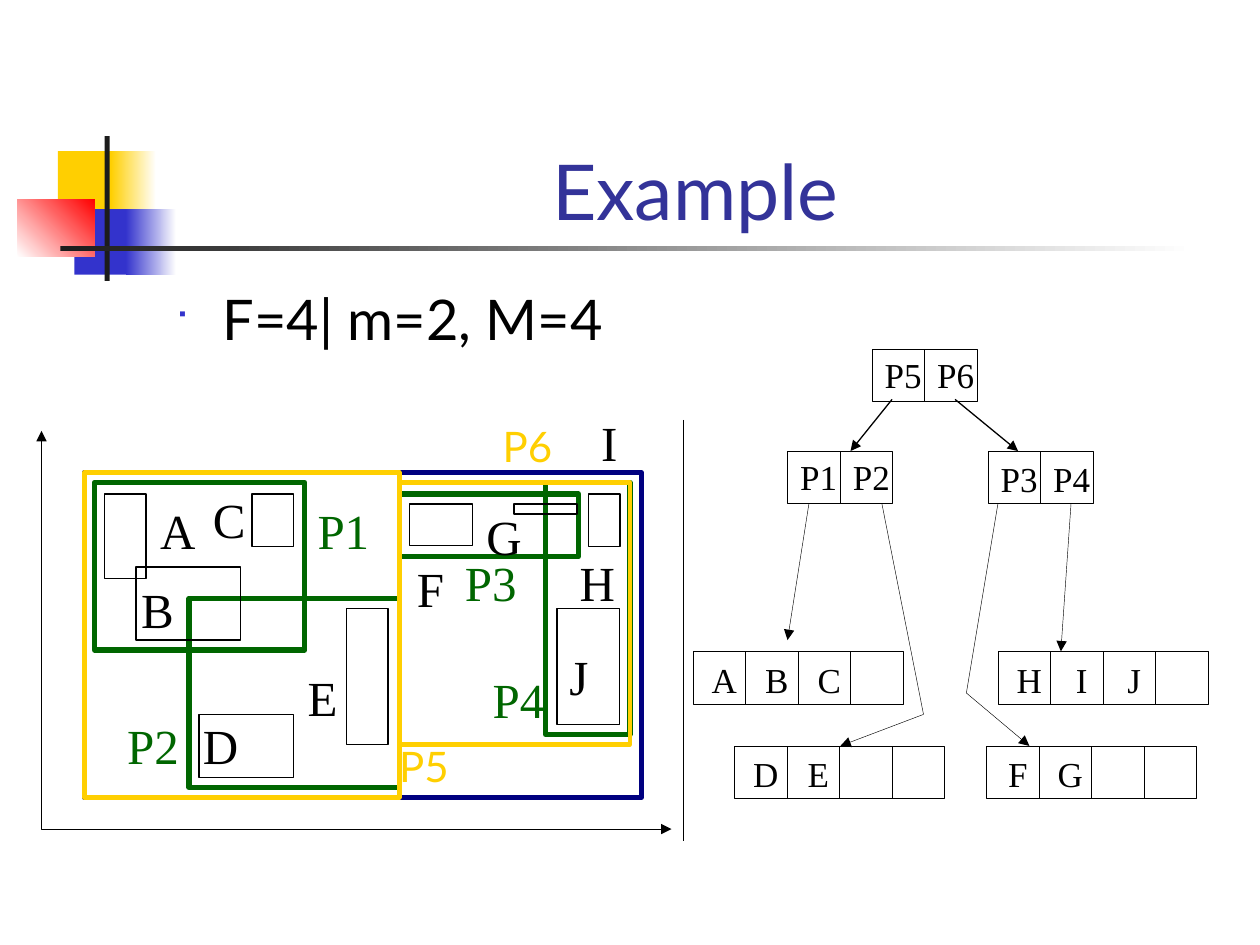
"""Build a slide showing an R-tree example: nested rectangles beside their tree."""
import lxml.etree
import pptx
import pptx.dml.color
import pptx.enum.dml
import pptx.enum.shapes
import pptx.enum.text
import pptx.oxml.ns
import pptx.util

Inches = pptx.util.Inches
Pt = pptx.util.Pt
rgb = pptx.dml.color.RGBColor.from_string
qn = pptx.oxml.ns.qn
ALIGN = pptx.enum.text.PP_ALIGN
ANCHOR = pptx.enum.text.MSO_ANCHOR
FIT = pptx.enum.text.MSO_AUTO_SIZE
RECTANGLE = pptx.enum.shapes.MSO_SHAPE.RECTANGLE
STRAIGHT = pptx.enum.shapes.MSO_CONNECTOR.STRAIGHT
SERIF, SANS = "Times New Roman", "Lato"
BLACK, GREEN, NAVY, GOLD = "000000", "006600", "000080", "FFCF01"
BLUE, GRAY, WHITE, RED = "3333CC", "1C1C1C", "FFFFFF", "FF0000"

deck = pptx.Presentation()
deck.slide_width, deck.slide_height = Inches(10), Inches(7.5)
page = deck.slides.add_slide(deck.slide_layouts[6])


def add_box(place, color=None, weight=0):
    box = page.shapes.add_shape(RECTANGLE, *map(Inches, place))
    box.shadow.inherit = False
    if color:
        box.fill.background()
        box.line.color.rgb = rgb(color)
        box.line.width = Pt(weight)
    else:
        box.line.fill.background()
    return box


def add_text(words, place, size, color, font=SERIF, align=ALIGN.CENTER,
             anchor=ANCHOR.MIDDLE, wrap=False):
    frame = page.shapes.add_textbox(*map(Inches, place)).text_frame
    fit = FIT.NONE if wrap else FIT.SHAPE_TO_FIT_TEXT
    frame_format = {"word_wrap": wrap, "auto_size": fit, "vertical_anchor": anchor}
    for name, value in frame_format.items():
        setattr(frame, name, value)
    para = frame.paragraphs[0]
    para.alignment = align
    span = para.add_run()
    span.text = words
    for name, value in {"size": Pt(size), "name": font}.items():
        setattr(span.font, name, value)
    span.font.color.rgb = rgb(color)
    return para


decorations = [
    ((0.46, 1.2, 0.48, 0.52), GOLD, None, 0),
    ((0.88, 1.2, 0.36, 0.52), GOLD, WHITE, 0),
    ((0.59, 1.66, 0.46, 0.52), BLUE, None, 0),
    ((1, 1.66, 0.4, 0.52), BLUE, WHITE, 0),
    ((0.14, 1.58, 0.61, 0.46), WHITE, RED, 45),
    ((0.83, 1.08, 0.04, 1.15), GRAY, None, 0),
    ((0.48, 1.95, 9, 0.04), GRAY, WHITE, 0),
]
for place, start, end, angle in decorations:
    fill = add_box(place).fill
    if end:
        fill.gradient()
        fill.gradient_angle = angle
        for stop, color in zip(fill.gradient_stops, (start, end)):
            stop.color.rgb = rgb(color)
    else:
        fill.solid()
        fill.fore_color.rgb = rgb(start)

add_text("Example", (1.26, 0.67, 8.52, 1.25), 44, "333399", SANS,
         anchor=ANCHOR.BOTTOM, wrap=True)
bullet = add_text("F=4| m=2, M=4", (1.29, 2.21, 8.5, 4.5), 32, BLACK, SANS,
                  ALIGN.LEFT, ANCHOR.TOP, True)
bullet.space_before = Pt(8)
bullet_format = bullet._p.get_or_add_pPr()
bullet_format.set("marL", str(Inches(0.38)))
bullet_format.set("indent", str(-Inches(0.38)))
bullet_color = lxml.etree.SubElement(bullet_format, qn("a:buClr"))
lxml.etree.SubElement(bullet_color, qn("a:srgbClr"), val=BLUE)
lxml.etree.SubElement(bullet_format, qn("a:buSzPct"), val="60000")
lxml.etree.SubElement(bullet_format, qn("a:buFont"), typeface="Wingdings", charset="2")
lxml.etree.SubElement(bullet_format, qn("a:buChar"), char="■")

regions = [
    (GREEN, 3, [(0.75, 3.83, 1.67, 1.33), (4.33, 3.83, 0.67, 2),
                (1.5, 4.75, 1.67, 1.5), (3.17, 3.92, 1.42, 0.5)]),
    (BLACK, 0.75, [(0.83, 3.92, 0.33, 0.67), (2, 3.92, 0.33, 0.42),
                   (1.08, 4.5, 0.83, 0.58), (1.58, 5.67, 0.75, 0.5),
                   (2.75, 4.83, 0.33, 1.08), (3.25, 4, 0.5, 0.33),
                   (4.42, 4.83, 0.5, 0.92), (4.67, 3.92, 0.25, 0.42),
                   (4.08, 4, 0.5, 0.08)]),
    (NAVY, 3, [(0.67, 3.75, 4.42, 2.58)]),
    (GOLD, 2.5, [(0.67, 3.75, 2.5, 2.58), (3.17, 3.83, 1.83, 2.08)]),
]
for color, weight, places in regions:
    for place in places:
        add_box(place, color, weight)

region_labels = [
    ("A", 1.17, 3.92, 0.48), ("B", 1.02, 4.55, 0.46), ("C", 1.59, 3.83, 0.46),
    ("D", 1.51, 5.63, 0.48), ("E", 2.34, 5.25, 0.44), ("F", 3.21, 4.38, 0.41),
    ("G", 3.76, 3.97, 0.48), ("H", 4.5, 4.33, 0.48), ("I", 4.67, 3.22, 0.33),
    ("J", 4.42, 5.08, 0.35), ("P1", 2.42, 3.92, 0.61), ("P2", 0.91, 5.63, 0.61),
    ("P3", 3.59, 4.33, 0.61), ("P4", 3.81, 5.26, 0.61),
]
for words, left, top, width in region_labels:
    color = GREEN if words.startswith("P") else BLACK
    add_text(words, (left, top, width, 0.57), 28, color)
for words, left, top in [("P5", 3.07, 5.83), ("P6", 3.89, 3.29)]:
    add_text(words, (left, top, 0.59, 0.5), 24, GOLD, SANS, ALIGN.LEFT, ANCHOR.TOP)

cell = 5 / 12
tree_nodes = [
    (6.92, 2.77, 2.75, ["P5", "P6"]),
    (6.25, 3.58, 3.56, ["P1", "P2"]),
    (7.84, 3.58, 3.58, ["P3", "P4"]),
    (5.5, 5.17, 5.17, ["A", "B", "C", ""]),
    (7.92, 5.17, 5.17, ["H", "I", "J", ""]),
    (5.83, 5.92, 5.92, ["D", "E", "", ""]),
    (7.83, 5.92, 5.92, ["F", "G", "", ""]),
]
for left, top, label_top, entries in tree_nodes:
    for index, words in enumerate(entries):
        cell_left = left + index * cell
        add_box((cell_left, top, cell, cell), BLACK, 0.25)
        if words:
            width = 0.52 if words.startswith("P") else 0.4
            label_left = cell_left + 0.04 + (cell - width) / 2
            add_text(words, (label_left, label_top, width, 0.44), 20, BLACK)

tail, both = ["tailEnd"], ["headEnd", "tailEnd"]
lines = [
    ([(0.33, 3.42), (0.33, 6.58), (5.33, 6.58)], 0.25, both),
    ([(5.42, 6.67), (5.42, 3.33)], 0.25, []),
    ([(6.42, 4), (6.25, 5.08)], 0.25, tail),
    ([(8.5, 4), (8.42, 5.17)], 0.25, tail),
    ([(7, 4), (7.33, 5.67), (6.67, 5.92)], 0.25, tail),
    ([(7.92, 4), (7.67, 5.5), (8.17, 5.92)], 0.25, tail),
    ([(7.08, 3.17), (6.75, 3.58)], 0.75, tail),
    ([(7.58, 3.17), (8.08, 3.58)], 0.75, tail),
]
for points, weight, arrowheads in lines:
    corners = [(Inches(x), Inches(y)) for x, y in points]
    if len(corners) == 2:
        line = page.shapes.add_connector(STRAIGHT, *corners[0], *corners[1])
    else:
        builder = page.shapes.build_freeform(*corners[0])
        builder.add_line_segments(corners[1:], close=False)
        line = builder.convert_to_shape()
        line.fill.background()
    line.line.color.rgb = rgb(BLACK)
    line.line.width = Pt(weight)
    if not arrowheads:
        line.line.dash_style = pptx.enum.dml.MSO_LINE.ROUND_DOT
    properties = line.element.spPr
    for arrowhead in arrowheads:
        lxml.etree.SubElement(properties.find(qn("a:ln")), qn("a:" + arrowhead),
                              type="triangle")
    lxml.etree.SubElement(properties, qn("a:effectLst"))

deck.save("out.pptx")
